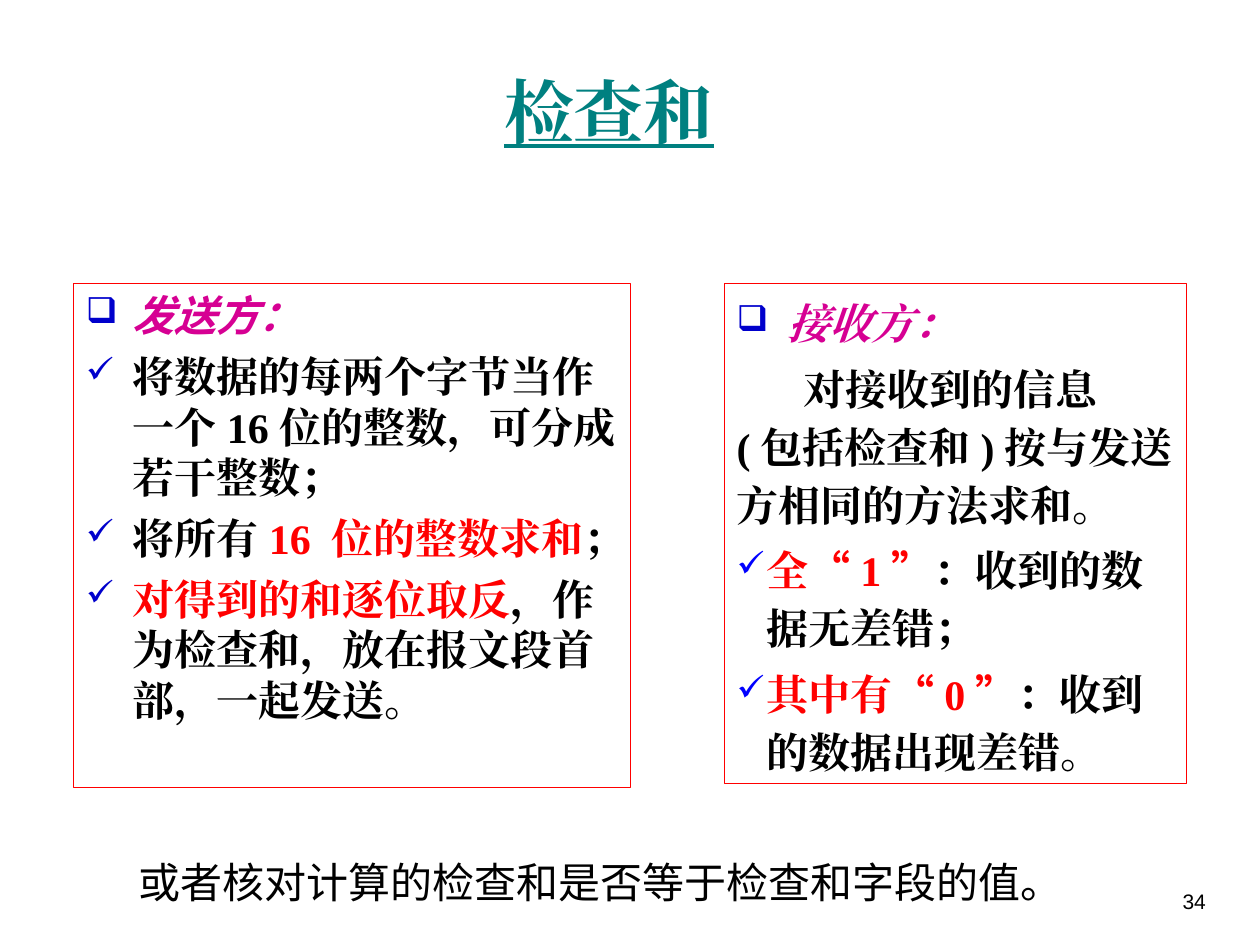
import dataclasses
import typing

import lxml.etree
import pptx
import pptx.dml.color
import pptx.enum.shapes
import pptx.enum.text
import pptx.oxml.ns
import pptx.util

Cm = pptx.util.Cm
Align = pptx.enum.text.PP_ALIGN
Anchor = pptx.enum.text.MSO_ANCHOR
COLORS = {
    "title": "008080",
    "heading": "D60093",
    "text": "000000",
    "emphasis": "FF0000",
    "border": "FF0000",
    "bullet": "0000CC",
    "check": "0000FF",
}
SERIF = "Times New Roman"
CHINESE = "Noto Sans CJK SC"


@dataclasses.dataclass
class Run:
    text: str
    color: str = "text"
    font: str = SERIF
    size: float = 24
    bold: bool = True
    italic: bool = False
    underline: bool = False


@dataclasses.dataclass
class Paragraph:
    runs: list[Run]
    bullet: str = ""
    bullet_color: str = "bullet"
    margin: float = 0
    indent: float = 0


def add_element(parent: typing.Any, tag: str, **attributes: str) -> typing.Any:
    return lxml.etree.SubElement(parent, pptx.oxml.ns.qn(tag), attributes)


def add_run(paragraph: typing.Any, content: Run) -> None:
    run = paragraph.add_run()
    run.text = content.text
    font = run.font
    font.size = pptx.util.Pt(content.size)
    font.bold, font.italic, font.underline = content.bold, content.italic, content.underline
    font.color.rgb = pptx.dml.color.RGBColor.from_string(COLORS[content.color])
    font.name = content.font
    add_element(run._r.get_or_add_rPr(), "a:ea", typeface=content.font)


def format_paragraph(paragraph: typing.Any, content: Paragraph) -> None:
    properties = paragraph._p.get_or_add_pPr()
    properties.set("marL", str(Cm(content.margin)))
    properties.set("indent", str(Cm(content.indent)))
    if content.bullet:
        color = add_element(properties, "a:buClr")
        add_element(color, "a:srgbClr", val=COLORS[content.bullet_color])
        add_element(properties, "a:buSzPct", val="85000")
        add_element(properties, "a:buChar", char=content.bullet)


def add_text(
    slide: typing.Any,
    box: tuple[float, float, float, float],
    paragraphs: list[Paragraph],
    *,
    border: str = "",
    align: Align = Align.LEFT,
    anchor: Anchor = Anchor.TOP,
    space_before: float = 0,
    line_spacing: float = 1.0,
) -> None:
    position = [Cm(value) for value in box]
    if border:
        shape = slide.shapes.add_shape(pptx.enum.shapes.MSO_SHAPE.RECTANGLE, *position)
        shape.shadow.inherit = False
        shape.fill.background()
        shape.line.color.rgb = pptx.dml.color.RGBColor.from_string(COLORS[border])
        shape.line.width = pptx.util.Pt(0.75)
    else:
        shape = slide.shapes.add_textbox(*position)
    frame = shape.text_frame
    frame.word_wrap = True
    frame.vertical_anchor = anchor
    for index, content in enumerate(paragraphs):
        paragraph = frame.add_paragraph() if index else frame.paragraphs[0]
        format_paragraph(paragraph, content)
        paragraph.alignment = align
        paragraph.line_spacing = line_spacing
        paragraph.space_before = pptx.util.Pt(space_before if index else 0)
        for run in content.runs:
            add_run(paragraph, run)


def sender_item(*runs: Run, bullet: str = "✓") -> Paragraph:
    return Paragraph(list(runs), bullet, margin=0.95, indent=-0.95)


def receiver_case(subject: str, digit: str, result: str) -> Paragraph:
    runs = [
        Run(subject, "emphasis"),
        Run("“", "emphasis", CHINESE),
        Run(digit, "emphasis"),
        Run("”", "emphasis", CHINESE),
        Run(f"：{result}"),
    ]
    return Paragraph(runs, "✓", "check", margin=0.6, indent=-0.6)


def main() -> None:
    presentation = pptx.Presentation()
    presentation.slide_width, presentation.slide_height = Cm(25.4), Cm(19.05)
    slide = presentation.slides.add_slide(presentation.slide_layouts[6])

    title = Run("检查和", "title", size=40, underline=True)
    add_text(slide, (1.48, 0.64, 21.59, 3.18), [Paragraph([title])],
             align=Align.CENTER, anchor=Anchor.MIDDLE)

    sender = [
        sender_item(Run("发送方：", "heading", CHINESE, italic=True), bullet="❑"),
        sender_item(Run("将数据的每两个字节当作一个16位的整数，可分成若干整数；")),
        sender_item(Run("将所有"), Run("16 位的整数求和", "emphasis"), Run("；")),
        sender_item(Run("对得到的和逐位取反", "emphasis"),
                    Run("，作为检查和，放在报文段首部，一起发送。")),
    ]
    add_text(slide, (1.48, 5.72, 11.23, 10.16), sender, border="border", space_before=6)

    receiver = [
        Paragraph([Run("接收方：", "heading", italic=True)], "❑", margin=1.03, indent=-1.03),
        Paragraph([Run("对接收到的信息 (包括检查和)按与发送方相同的方法求和。")], indent=1.35),
        receiver_case("全", "1", "收到的数据无差错；"),
        receiver_case("其中有", "0", "收到的数据出现差错。"),
    ]
    add_text(slide, (14.6, 5.72, 9.32, 10.08), receiver, border="border",
             space_before=4.5, line_spacing=1.15)

    note = Run("或者核对计算的检查和是否等于检查和字段的值。", font="Comic Neue", bold=False)
    add_text(slide, (2.54, 17.15, 20.75, 1.27), [Paragraph([note])])

    number = Run("34", font="Arial", size=12, bold=False)
    add_text(slide, (22.68, 17.78, 1.88, 1.27), [Paragraph([number])], align=Align.RIGHT)
    presentation.save("out.pptx")


if __name__ == "__main__":
    main()
